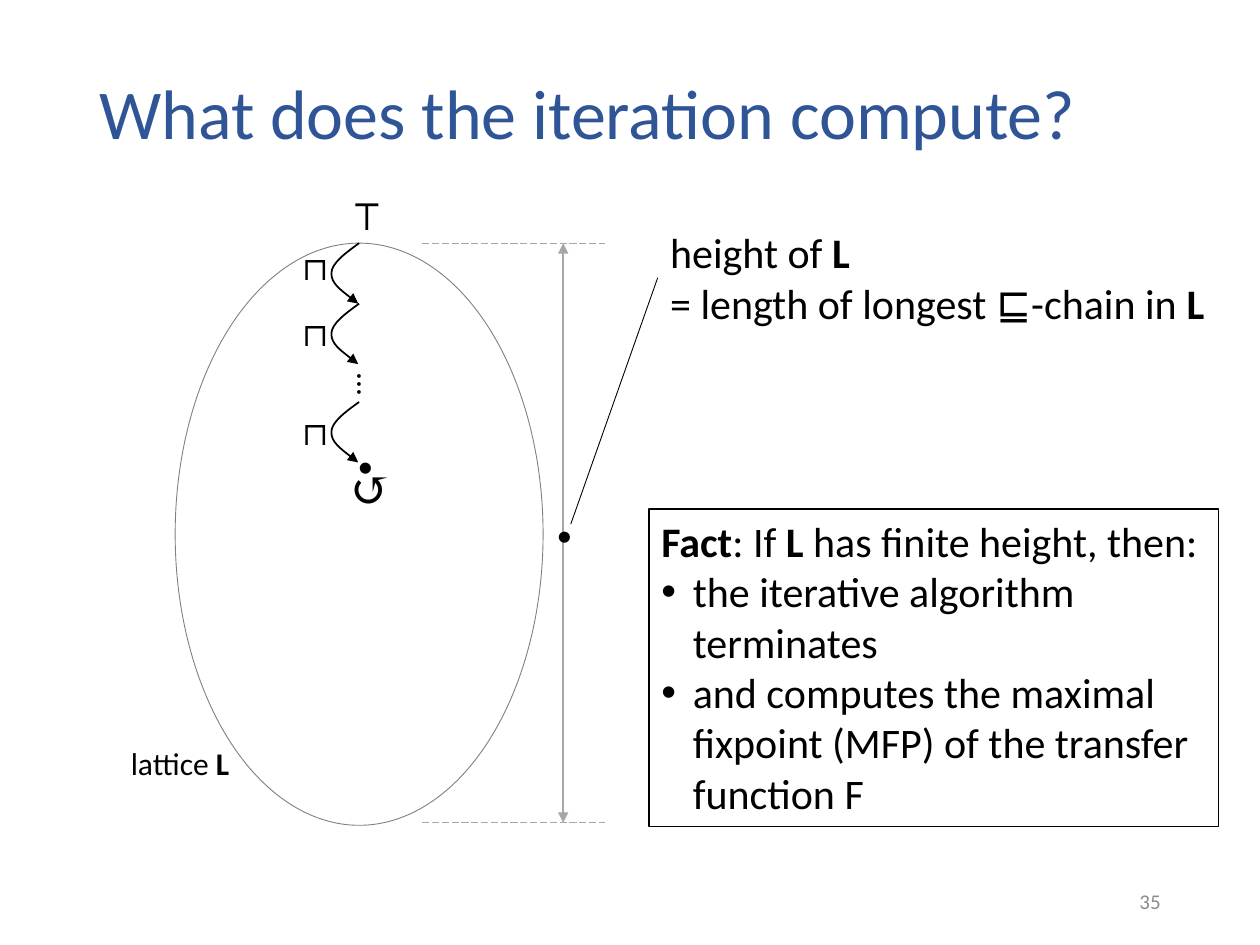
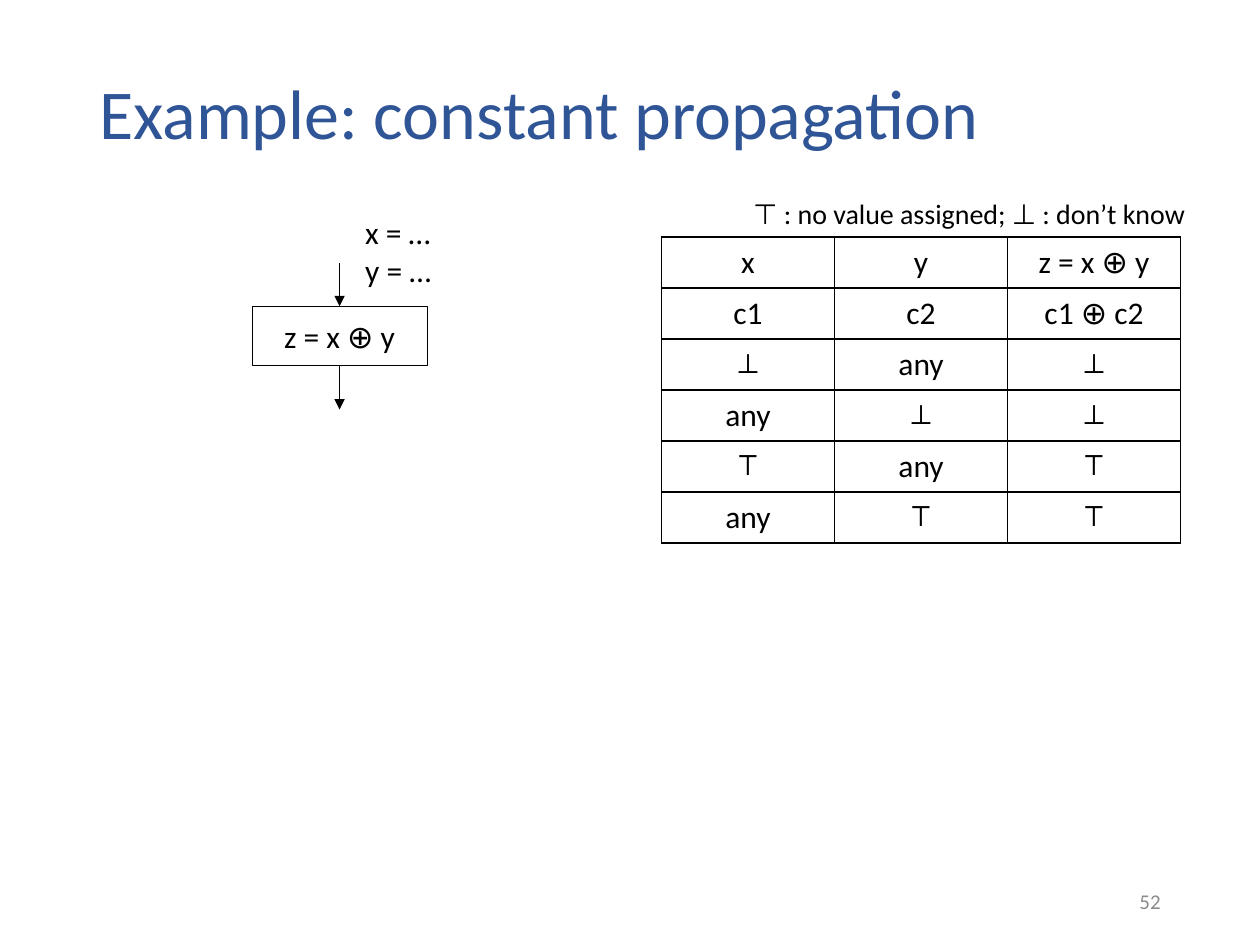
"""Builds two lecture slides on data-flow analysis: fixpoint iteration and constant propagation."""
import pptx
import pptx.dml.color
import pptx.enum.dml
import pptx.enum.shapes
import pptx.enum.text
import pptx.oxml
import pptx.oxml.ns
import pptx.util

RGBColor = pptx.dml.color.RGBColor
Align = pptx.enum.text.PP_ALIGN
Anchor = pptx.enum.text.MSO_ANCHOR
Preset = pptx.enum.shapes.MSO_SHAPE
qn = pptx.oxml.ns.qn

BLACK = RGBColor(0, 0, 0)
WHITE = RGBColor(255, 255, 255)
TITLE_BLUE = RGBColor(0x2F, 0x55, 0x97)
OUTLINE_GREY = RGBColor(0x80, 0x80, 0x80)
MEASURE_GREY = RGBColor(0xA6, 0xA6, 0xA6)
NUMBER_GREY = RGBColor(0x8C, 0x8C, 0x8C)
TEXT_FONT = "Calibri"
MATH_FONT = "Times New Roman"
GRID_COLUMNS, GRID_ROWS = 100, 75


def add_xml(parent, tag, **attributes):
    """Appends an XML element with the given attributes and returns it."""
    element = pptx.oxml.parse_xml(f'<{tag} {pptx.oxml.ns.nsdecls("a")}/>')
    for name, value in attributes.items():
        element.set(name, str(value))
    parent.append(element)
    return element


class Sheet:
    """Holds the deck's style and current slide; places are grid columns and rows."""

    def __init__(self):
        self.deck = pptx.Presentation()
        self.deck.slide_width = pptx.util.Inches(10)
        self.deck.slide_height = pptx.util.Inches(7.5)
        self.page = None

    def x(self, column):
        return round(self.deck.slide_width * column / GRID_COLUMNS)

    def y(self, row):
        return round(self.deck.slide_height * row / GRID_ROWS)

    def place(self, left, top, width, height):
        return self.x(left), self.y(top), self.x(width), self.y(height)

    def start(self, title, number):
        self.page = self.deck.slides.add_slide(self.deck.slide_layouts[6])
        heading = self.text((6.9, 4, 86.2, 10.5), [title], 40, color=TITLE_BLUE,
                            anchor=Anchor.MIDDLE, wrap=True)
        heading.text_frame.paragraphs[0].line_spacing = 0.9
        self.text((70.6, 69.5, 22.5, 4), [number], 12, color=NUMBER_GREY,
                  align=Align.RIGHT, anchor=Anchor.MIDDLE, wrap=True)

    def spans(self, para, content, size, font=TEXT_FONT, color=BLACK, align=Align.LEFT):
        para.alignment = align
        for piece in [content] if isinstance(content, str) else content:
            words, bold = (piece, False) if isinstance(piece, str) else piece
            span = para.add_run()
            span.text = words
            span.font.size = pptx.util.Pt(size)
            span.font.name = font
            span.font.bold = bold
            span.font.color.rgb = color

    def fill_text(self, box, paragraphs, size, anchor=Anchor.TOP, wrap=False, **style):
        frame = box.text_frame
        frame.word_wrap = wrap
        frame.vertical_anchor = anchor
        for index, content in enumerate(paragraphs):
            para = frame.add_paragraph() if index else frame.paragraphs[0]
            self.spans(para, content, size, **style)

    def text(self, area, paragraphs, size=18, **style):
        box = self.page.shapes.add_textbox(*self.place(*area))
        self.fill_text(box, paragraphs, size, **style)
        return box

    def outline(self, shape, color, width, fill=None):
        shape.shadow.inherit = False
        if fill is None:
            shape.fill.background()
        else:
            shape.fill.solid()
            shape.fill.fore_color.rgb = fill
        if color is None:
            shape.line.fill.background()
        else:
            shape.line.color.rgb = color
            shape.line.width = pptx.util.Pt(width)

    def shape(self, preset, area, color=None, width=0.5, fill=None):
        shape = self.page.shapes.add_shape(preset, *self.place(*area))
        self.outline(shape, color, width, fill)
        return shape

    def bullet(self, para):
        properties = para._p.get_or_add_pPr()
        hang = self.x(2.5)
        properties.set("marL", str(hang))
        properties.set("indent", str(-hang))
        add_xml(properties, "a:buFont", typeface="Arial")
        add_xml(properties, "a:buChar", char="•")

    def arrowheads(self, line, ends):
        for end in ends:
            add_xml(line.line._get_or_add_ln(), f"a:{end}", type="triangle")

    def line(self, start, end, color=BLACK, width=0.5, dashed=False, ends=()):
        line = self.page.shapes.add_connector(
            pptx.enum.shapes.MSO_CONNECTOR.STRAIGHT,
            self.x(start[0]), self.y(start[1]), self.x(end[0]), self.y(end[1]))
        line.line.color.rgb = color
        line.line.width = pptx.util.Pt(width)
        if dashed:
            line.line.dash_style = pptx.enum.dml.MSO_LINE.LONG_DASH
        self.arrowheads(line, ends)
        add_xml(line._element.spPr, "a:effectLst")
        return line

    def bow(self, column, row, width, height):
        bends = [(0.5, 1 / 6), (1, 1 / 3), (1, 0.5), (1, 2 / 3), (0.5, 5 / 6), (0.03, 1)]
        builder = self.page.shapes.build_freeform(self.x(column), self.y(row))
        builder.add_line_segments([(self.x(column - width * across), self.y(row + height * down))
                                   for across, down in bends], close=False)
        bow = builder.convert_to_shape()
        steps = list(bow._element.iter(qn("a:lnTo")))
        outline = steps[0].getparent()
        for first in range(0, len(steps), 3):
            curve = add_xml(outline, "a:cubicBezTo")
            for step in steps[first:first + 3]:
                curve.append(step[0])
                outline.remove(step)
        self.outline(bow, BLACK, 1)
        self.arrowheads(bow, ["tailEnd"])

    def table(self, area, rows):
        table = self.page.shapes.add_table(len(rows), len(rows[0]), *self.place(*area)).table
        table.first_row = table.horz_banding = False
        for row_index, row in enumerate(rows):
            for column_index, words in enumerate(row):
                cell = table.cell(row_index, column_index)
                font = MATH_FONT if words in ("⊤", "⊥") else TEXT_FONT
                self.spans(cell.text_frame.paragraphs[0], words, 18, font, align=Align.CENTER)
                properties = cell._tc.get_or_add_tcPr()
                for side in "LRTB":
                    border = add_xml(properties, f"a:ln{side}", w=pptx.util.Pt(1))
                    add_xml(add_xml(border, "a:solidFill"), "a:srgbClr", val=BLACK)
                cell.fill.background()


def draw_iteration(sheet):
    """Draws the descent through the lattice and the termination fact."""
    sheet.start("What does the iteration compute?", "35")
    sheet.shape(Preset.OVAL, (13.9, 19.3, 29.2, 46.2), OUTLINE_GREY)
    for row in (19.3, 24.1, 31.9):
        sheet.bow(28.5, row, 2.2, 4.8)
    for row in (19.3, 24.5, 32.4):
        sheet.text((23, row, 3, 4), ["⊓"], font=MATH_FONT, wrap=True)
    sheet.text((27.4, 28.5, 3.9, 4), ["..."]).rotation = 90
    sheet.text((26.5, 14.5, 4.2, 5), ["⊤"], 24, font=MATH_FONT)
    sheet.text((26.8, 35.9, 5, 5.7), ["↺"], 28, font=MATH_FONT, wrap=True)
    sheet.text((9.4, 58.6, 10, 4), [["lattice ", ("L", True)]])
    sheet.text((27.4, 34.9, 3.3, 4), ["•"])

    for row in (19.3, 65.3):
        sheet.line((33.5, row), (48, row), MEASURE_GREY, dashed=True)
    sheet.line((44.7, 19.3), (44.7, 65.3), MEASURE_GREY, 1, ends=["headEnd", "tailEnd"])
    height_note = sheet.shape(Preset.RECTANGLE, (52.2, 17.5, 44.5, 9.1), fill=WHITE)
    sheet.fill_text(height_note, [["height of ", ("L", True)],
                                  ["= length of longest ⊑-chain in ", ("L", True)]], 24)
    sheet.text((43.2, 40.4, 3.3, 4), ["•"])
    sheet.line((52.2, 22), (45.3, 41.6)).begin_connect(height_note, 1)

    fact = sheet.shape(Preset.RECTANGLE, (51.5, 40.4, 45.2, 25.2), BLACK, 0.75)
    sheet.fill_text(fact, [[("Fact", True), ": If ", ("L", True), " has finite height, then:"],
                           "the iterative algorithm terminates",
                           "and computes the maximal fixpoint (MFP) of the transfer function F"],
                    24, wrap=True)
    for para in fact.text_frame.paragraphs[1:]:
        sheet.bullet(para)


def draw_propagation(sheet):
    """Draws the assignment node and its table of transfer values."""
    sheet.start("Example: constant propagation", "52")
    assignment = sheet.shape(Preset.RECTANGLE, (20, 24.3, 13.9, 4.7), BLACK)
    sheet.fill_text(assignment, ["z = x ⊕ y"], 18, anchor=Anchor.MIDDLE, wrap=True,
                    align=Align.CENTER)
    middle = 20 + 13.9 / 2
    sheet.line((middle, 20.9), (middle, 24.3), ends=["tailEnd"]).end_connect(assignment, 0)
    sheet.line((middle, 29), (middle, 32.5), ends=["tailEnd"]).begin_connect(assignment, 2)
    sheet.text((28, 16.4, 7.5, 7.1), ["x = …", "y = …"])
    sheet.text((58.8, 15.1, 36.3, 3.7), ["⊤ : no value assigned; ⊥ : don’t know"], 16)
    sheet.table((52.5, 18.8, 41.2, 24.3), [
        ["x", "y", "z = x ⊕ y"],
        ["c1", "c2", "c1 ⊕ c2"],
        ["⊥", "any", "⊥"],
        ["any", "⊥", "⊥"],
        ["⊤", "any", "⊤"],
        ["any", "⊤", "⊤"],
    ])


def main():
    """Builds both slides and saves the deck."""
    sheet = Sheet()
    draw_iteration(sheet)
    draw_propagation(sheet)
    sheet.deck.save("out.pptx")


if __name__ == "__main__":
    main()
